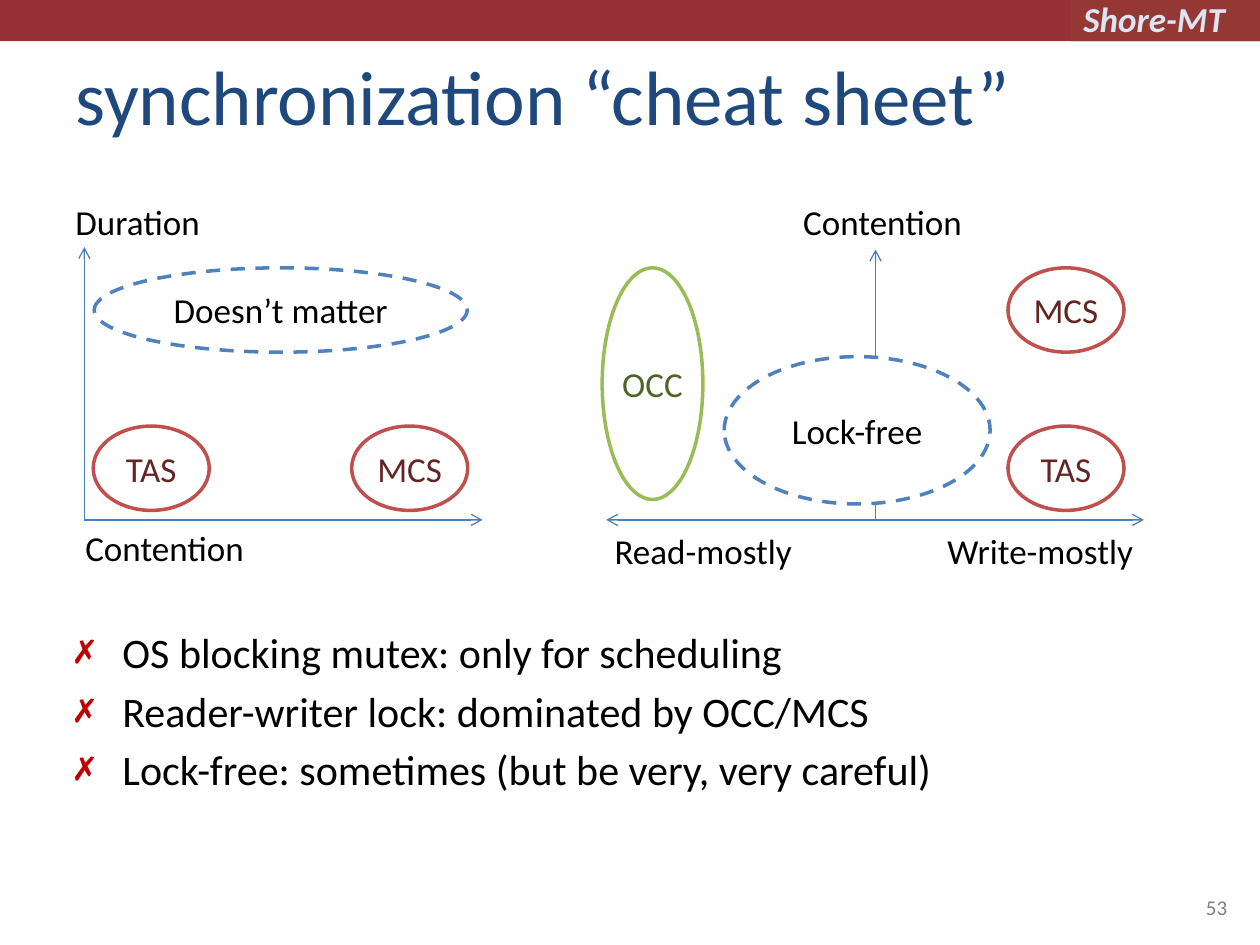
"""Builds the synchronization cheat sheet slide."""
from dataclasses import dataclass

from lxml import etree
from pptx import Presentation
from pptx.dml.color import RGBColor
from pptx.enum.dml import MSO_LINE
from pptx.enum.shapes import MSO_CONNECTOR, MSO_SHAPE
from pptx.enum.text import MSO_ANCHOR, PP_ALIGN
from pptx.oxml.ns import qn
from pptx.util import Cm, Pt

RECTANGLE, OVAL = MSO_SHAPE.RECTANGLE, MSO_SHAPE.OVAL
STRAIGHT, DASH = MSO_CONNECTOR.STRAIGHT, MSO_LINE.DASH
TOP, MIDDLE, BOTTOM = MSO_ANCHOR.TOP, MSO_ANCHOR.MIDDLE, MSO_ANCHOR.BOTTOM
LEFT, CENTER, RIGHT = PP_ALIGN.LEFT, PP_ALIGN.CENTER, PP_ALIGN.RIGHT


@dataclass(frozen=True)
class Theme:
    font: str = "Calibri"
    title_size: int = 44
    body_size: int = 24
    label_size: int = 20
    number_size: int = 12
    outline_width: float = 2
    axis_width: float = 0.75
    banner: str = "963237"
    tag: str = "953735"
    tag_text: str = "DCE6F2"
    title: str = "1F497D"
    text: str = "000000"
    number: str = "808080"
    bullet: str = "C00000"
    axis: str = "4B7EBC"
    paper: str = "FFFFFF"


THEME = Theme()
LOCK = ("C0504D", "632523", None)
OPTIMISTIC = ("9BBB59", "4F6228", None)
FREE = ("4F81BD", THEME.text, DASH)

TITLE = "synchronization “cheat sheet”"
TAG = "Shore-MT"
NUMBER = "53"
ADVICE = [
    "OS blocking mutex: only for scheduling",
    "Reader-writer lock: dominated by OCC/MCS",
    "Lock-free: sometimes (but be very, very careful)",
]

BANNER_HEIGHT = 0.83
LABEL_SIZE = (6.78, 1.12)
LOCK_SIZE = (2.34, 1.7)
HIGH, LOW = 5.4, 8.59
BASE = 10.48

AXES = [
    ((17.65, BASE), (17.65, 5.03), False),
    ((12.22, BASE), (23.06, BASE), True),
    ((1.7, BASE), (1.7, 4.98), False),
    ((1.7, BASE), (9.73, BASE), False),
]
LABELS = [
    ("Duration", 1.27, 3.91, LEFT),
    ("Contention", 1.47, 10.49, LEFT),
    ("Contention", 14.4, 3.91, CENTER),
    ("Read-mostly", 12.14, 10.54, LEFT),
    ("Write-mostly", 16.31, 10.54, RIGHT),
]
REGIONS = [
    ("TAS", (1.88, LOW, *LOCK_SIZE), LOCK),
    ("MCS", (7.09, LOW, *LOCK_SIZE), LOCK),
    ("Doesn’t matter", (1.9, HIGH, 7.52, 1.7), FREE),
    ("MCS", (20.32, HIGH, *LOCK_SIZE), LOCK),
    ("TAS", (20.32, LOW, *LOCK_SIZE), LOCK),
    ("OCC", (12.14, HIGH, 2.03, 4.67), OPTIMISTIC),
    ("Lock-free", (14.6, 7.19, 5.36, 2.97), FREE),
]


def rgb(color):
    return RGBColor.from_string(color)


def format_paragraph(paragraph, size, color, align=LEFT, emphasis=False):
    paragraph.alignment = align
    for run in paragraph.runs:
        font = run.font
        font.name, font.size, font.color.rgb = THEME.font, Pt(size), rgb(color)
        if emphasis:
            font.bold = font.italic = True


def add_text(slide, box, lines, size, color, align=LEFT, anchor=TOP, emphasis=False):
    frame = slide.shapes.add_textbox(*map(Cm, box)).text_frame
    frame.word_wrap = True
    frame.vertical_anchor = anchor
    frame.text = "\n".join(lines)
    for paragraph in frame.paragraphs:
        format_paragraph(paragraph, size, color, align, emphasis)
    return frame


def add_filled(slide, kind, box, fill):
    shape = slide.shapes.add_shape(kind, *map(Cm, box))
    shape.shadow.inherit = False
    shape.fill.solid()
    shape.fill.fore_color.rgb = rgb(fill)
    shape.line.fill.background()
    return shape


def add_region(slide, name, box, style):
    outline, text_color, dash = style
    shape = add_filled(slide, OVAL, box, THEME.paper)
    shape.line.color.rgb = rgb(outline)
    shape.line.width = Pt(THEME.outline_width)
    if dash:
        shape.line.dash_style = dash
    frame = shape.text_frame
    frame.word_wrap = False
    frame.vertical_anchor = MIDDLE
    frame.text = name
    format_paragraph(frame.paragraphs[0], THEME.label_size, text_color, CENTER)


def add_axis(slide, start, end, both_ends):
    axis = slide.shapes.add_connector(STRAIGHT, *map(Cm, start + end))
    axis.line.color.rgb = rgb(THEME.axis)
    axis.line.width = Pt(THEME.axis_width)
    properties = axis.line._get_or_add_ln()
    for tag in ("a:headEnd", "a:tailEnd") if both_ends else ("a:tailEnd",):
        etree.SubElement(properties, qn(tag), type="arrow")
    etree.SubElement(axis._element.spPr, qn("a:effectLst"))


def add_bullets(frame):
    for index, paragraph in enumerate(frame.paragraphs):
        properties = paragraph._p.get_or_add_pPr()
        properties.set("marL", str(Cm(0.95)))
        properties.set("indent", str(-Cm(0.95)))
        color = etree.SubElement(properties, qn("a:buClr"))
        etree.SubElement(color, qn("a:srgbClr"), val=THEME.bullet)
        etree.SubElement(properties, qn("a:buChar"), char="✗")
        if index:
            paragraph.space_before = Pt(THEME.body_size * 0.2)


def main():
    presentation = Presentation()
    presentation.slide_width, presentation.slide_height = Cm(25.4), Cm(19.05)
    slide = presentation.slides.add_slide(presentation.slide_layouts[6])

    add_filled(slide, RECTANGLE, (0, 0, 25.4, BANNER_HEIGHT), THEME.banner)
    add_filled(slide, RECTANGLE, (21.59, 0, 3.81, BANNER_HEIGHT), THEME.tag)
    add_text(slide, (21.59, -0.18, 3.61, 1.12), [TAG], THEME.label_size,
             THEME.tag_text, emphasis=True)
    add_text(slide, (1.27, 0.76, 22.86, 2.21), [TITLE], THEME.title_size,
             THEME.title, anchor=BOTTOM)
    add_bullets(add_text(slide, (1.27, 12.5, 22.86, 4.52), ADVICE,
                         THEME.body_size, THEME.text))
    add_text(slide, (18.21, 17.35, 6.78, 1.32), [NUMBER], THEME.number_size,
             THEME.number, RIGHT, BOTTOM)

    for start, end, both_ends in AXES:
        add_axis(slide, start, end, both_ends)
    for name, left, top, align in LABELS:
        add_text(slide, (left, top, *LABEL_SIZE), [name], THEME.label_size,
                 THEME.text, align)
    for name, box, style in REGIONS:
        add_region(slide, name, box, style)

    presentation.save("out.pptx")


if __name__ == "__main__":
    main()
